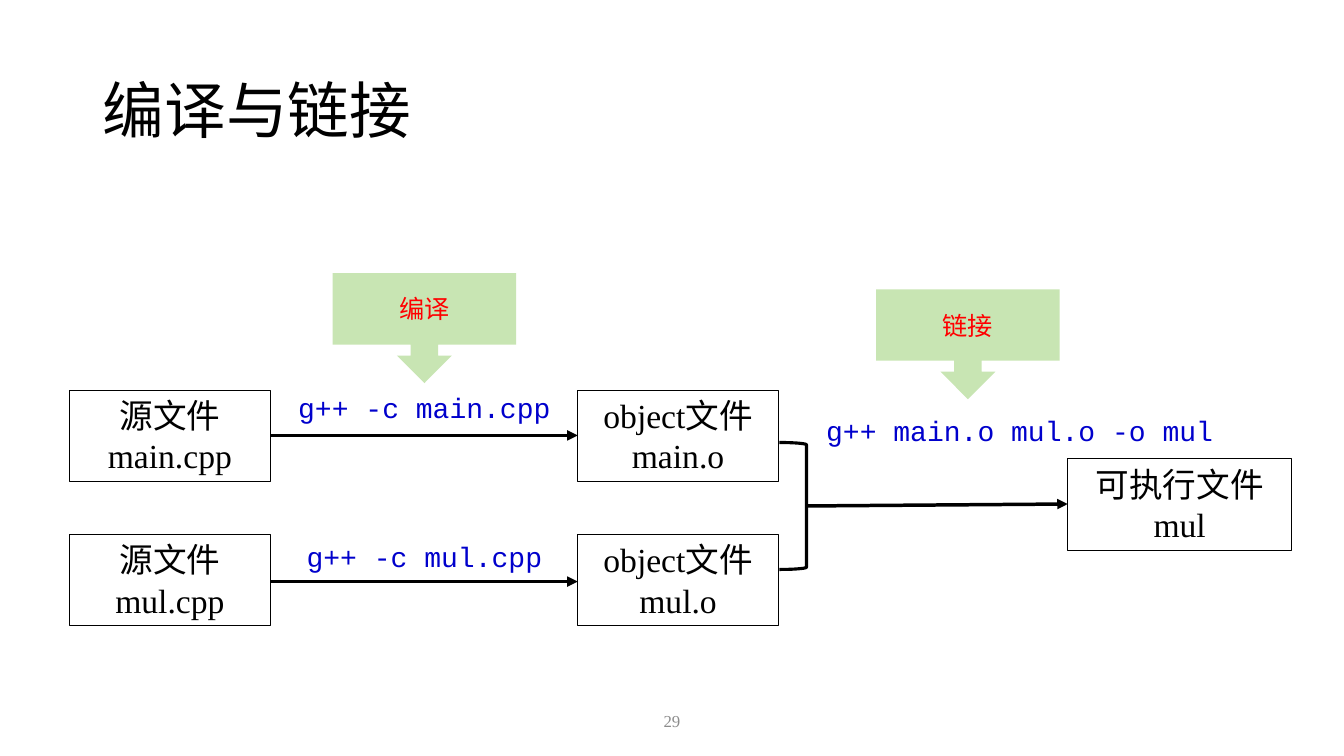
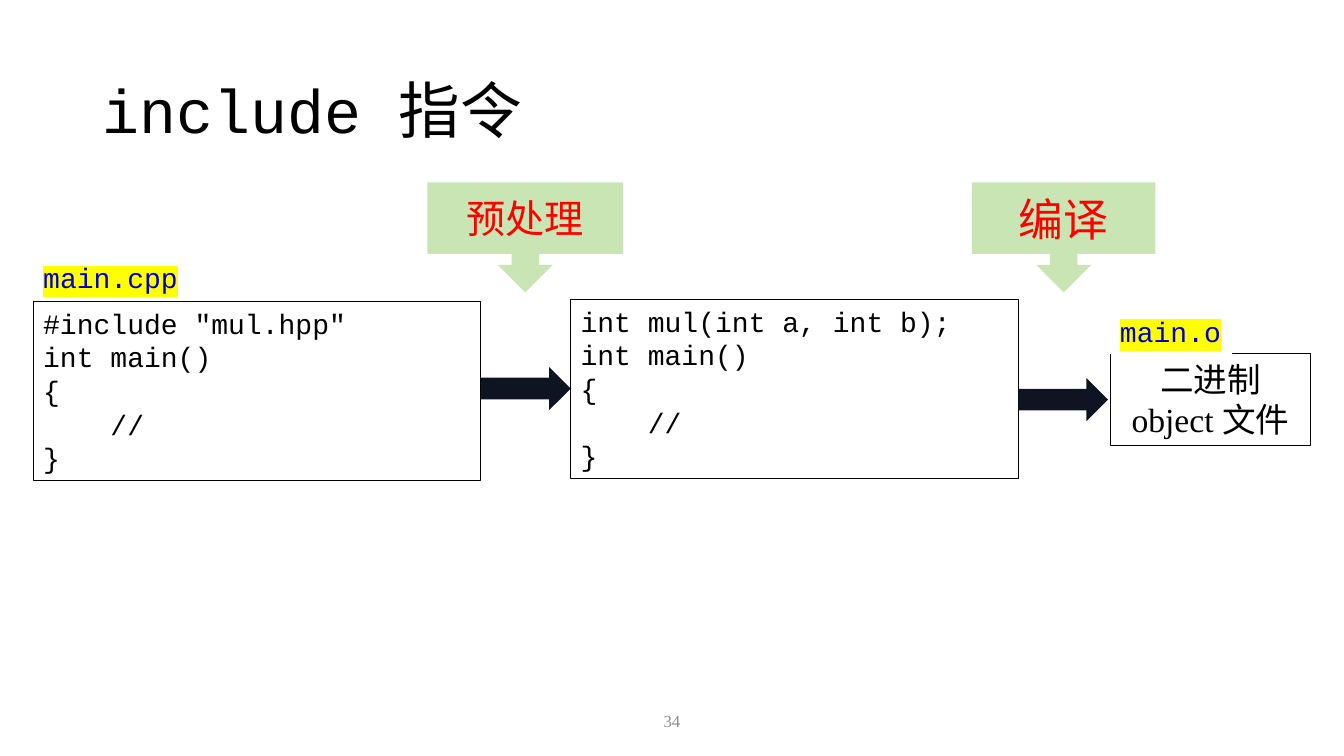
from pptx import Presentation
from pptx.dml.color import RGBColor
from pptx.enum.shapes import MSO_CONNECTOR, MSO_SHAPE as SHAPE
from pptx.enum.text import MSO_ANCHOR as ANCHOR, MSO_AUTO_SIZE, PP_ALIGN as ALIGN
from pptx.oxml.ns import qn
from pptx.util import Inches, Pt
from lxml import etree

SERIF, MONO = "Times New Roman", "Courier New"
BLACK, BLUE, RED, GRAY = "000000", "0000CC", "FF0000", "8C8C8C"
GREEN, NAVY, WHITE, YELLOW = "C8E5B3", "0F1423", "FFFFFF", "FFFF00"

# Text styles: font, colour, alignment, anchor
NODE = dict(font=dict(name=SERIF, size=Pt(24)), color=BLACK, align=ALIGN.CENTER, anchor=ANCHOR.TOP)
COMMAND = dict(NODE, font=dict(name=MONO, size=Pt(20)), color=BLUE)
CODE = dict(COMMAND, color=BLACK, align=ALIGN.LEFT)
FILE_NAME = dict(CODE, color=BLUE, highlight=YELLOW)
CALLOUT = dict(NODE, font=dict(name=SERIF, size=Pt(18)), color=RED, anchor=ANCHOR.MIDDLE)
NUMBER = dict(CALLOUT, font=dict(name=SERIF, size=Pt(12)), color=GRAY)
TITLE = dict(NODE, font=dict(name=SERIF, size=Pt(44)), align=ALIGN.LEFT, anchor=ANCHOR.MIDDLE)


def write(sp, lines, style):
    """Each line is a string, or a list of (text, font name) runs."""
    tf = sp.text_frame
    for key, value in dict(word_wrap=True, auto_size=MSO_AUTO_SIZE.NONE,
                           vertical_anchor=style["anchor"]).items():
        setattr(tf, key, value)
    for i, line in enumerate(lines):
        p = tf.add_paragraph() if i else tf.paragraphs[0]
        p.alignment = style["align"]
        runs = [(line, style["font"]["name"])] if isinstance(line, str) else line
        for text, name in runs:
            r = p.add_run()
            r.text = text
            r.font.color.rgb = RGBColor.from_string(style["color"])
            if "highlight" in style:
                mark = etree.SubElement(r.font._element, qn("a:highlight"))
                etree.SubElement(mark, qn("a:srgbClr"), val=style["highlight"])
            for key, value in dict(style["font"], name=name).items():
                setattr(r.font, key, value)


def add_box(s, kind, at, lines=(), style=NODE, fill=None, line=None):
    """Add a preset shape, or a text box when kind is None."""
    at = [Inches(v) for v in at]
    if kind is None:
        sp = s.shapes.add_textbox(*at)
    else:
        sp = s.shapes.add_shape(kind, *at)
        sp.shadow.inherit = False
        if fill:
            sp.fill.solid()
            sp.fill.fore_color.rgb = RGBColor.from_string(fill)
        else:
            sp.fill.background()
        if line:
            sp.line.color.rgb = RGBColor.from_string(BLACK)
            sp.line.width = Pt(line)
        else:
            sp.line.fill.background()
    if lines:
        write(sp, lines, style)


prs = Presentation()
prs.slide_width, prs.slide_height = Inches(13.33), Inches(7.5)

# Titles and slide numbers
slides = []
for title, number in [
    ("编译与链接", "29"),
    ([("include ", MONO), ("指令", SERIF)], "34"),
]:
    s = prs.slides.add_slide(prs.slide_layouts[5])
    sp = s.shapes.title
    sp.left, sp.top, sp.width, sp.height = [Inches(v) for v in (0.92, 0.4, 11.5, 1.45)]
    write(sp, [title], TITLE)
    sp.text_frame.paragraphs[0].line_spacing = 0.9
    add_box(s, None, (6.26, 6.95, 0.81, 0.4), [number], NUMBER)
    slides.append(s)
build, include = slides

# Slide 1: one row per source file
arrows = [(7.99, 5.02, 10.59, 5)]
for name, top, command_top, arrow_y in [("main", 3.87, 3.82, 4.32), ("mul", 5.3, 5.3, 5.77)]:
    add_box(build, SHAPE.RECTANGLE, (0.69, top, 1.99, 0.91), [f"源文件{name}.cpp"], line=0.75)
    add_box(build, SHAPE.RECTANGLE, (5.73, top, 1.99, 0.91), ["object文件", f"{name}.o"], line=0.75)
    add_box(build, None, (2.69, command_top, 3.04, 0.44), [f"g++ -c {name}.cpp"], COMMAND)
    arrows.append((2.69, arrow_y, 5.73, arrow_y))

# Linking the object files
add_box(build, SHAPE.RIGHT_BRACKET, (7.73, 4.39, 0.27, 1.26), line=2.25)
add_box(build, SHAPE.RECTANGLE, (10.59, 4.55, 2.22, 0.91), ["可执行文件", "mul"], line=0.75)
add_box(build, None, (7.73, 4.05, 4.77, 0.44), ["g++ main.o mul.o -o mul"], COMMAND)

# Arrows between the stages
for ends in arrows:
    line = build.shapes.add_connector(MSO_CONNECTOR.STRAIGHT, *[Inches(v) for v in ends])
    line.line.color.rgb = RGBColor.from_string(BLACK)
    line.line.width = Pt(2.5)
    etree.SubElement(line.line._get_or_add_ln(), qn("a:tailEnd"), type="triangle")
    etree.SubElement(line._element.spPr, qn("a:effectLst"))

# Slide 2: code before and after preprocessing
body = ["int main()", "{", "    //", "}"]
for left, top, first in [(0.33, 2.99, '#include "mul.hpp"'), (5.66, 2.97, "int mul(int a, int b);")]:
    add_box(include, SHAPE.RECTANGLE, (left, top, 4.44, 1.78), [first] + body, CODE, line=0.75)
add_box(include, SHAPE.RECTANGLE, (11.01, 3.51, 1.99, 0.91), ["二进制", "object 文件"], line=0.75)

# File names and block arrows
for name, left, top, width in [("main.cpp", 0.33, 2.54, 1.55), ("main.o", 11.01, 3.07, 1.21)]:
    add_box(include, SHAPE.RECTANGLE, (left, top, width, 0.44), [name], FILE_NAME, fill=WHITE)
for left, top in [(4.77, 3.64), (10.1, 3.75)]:
    add_box(include, SHAPE.RIGHT_ARROW, (left, top, 0.89, 0.43), fill=NAVY)

# Step callouts on both slides
for s, text, left, top, width, size in [
    (build, "编译", 3.3, 2.71, 1.82, 18),
    (build, "链接", 8.69, 2.87, 1.82, 18),
    (include, "预处理", 4.24, 1.81, 1.94, 28),
    (include, "编译", 9.64, 1.81, 1.82, 32),
]:
    style = dict(CALLOUT, font=dict(name=SERIF, size=Pt(size)))
    add_box(s, SHAPE.DOWN_ARROW_CALLOUT, (left, top, width, 1.09), [text], style, fill=GREEN)

prs.save("out.pptx")
